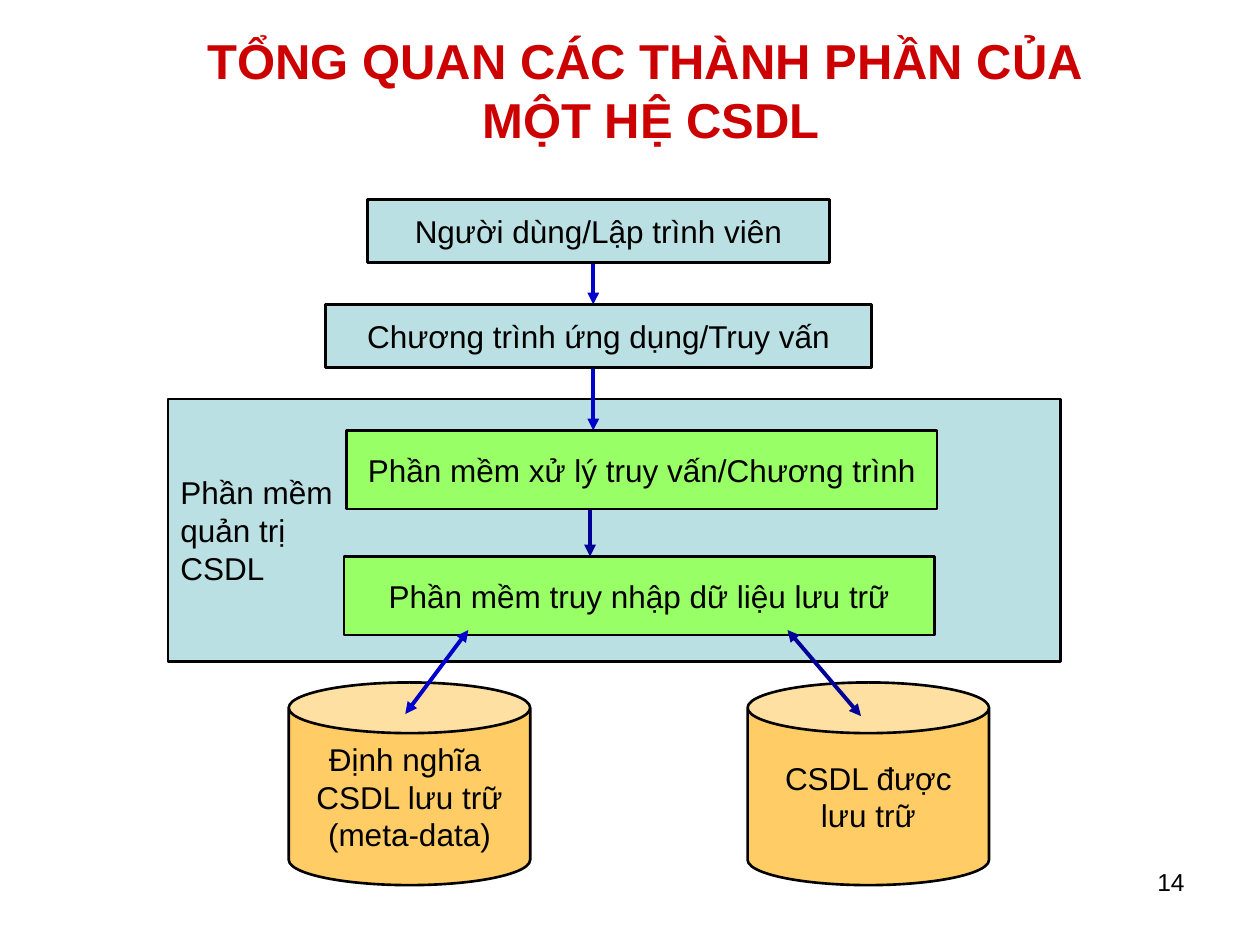
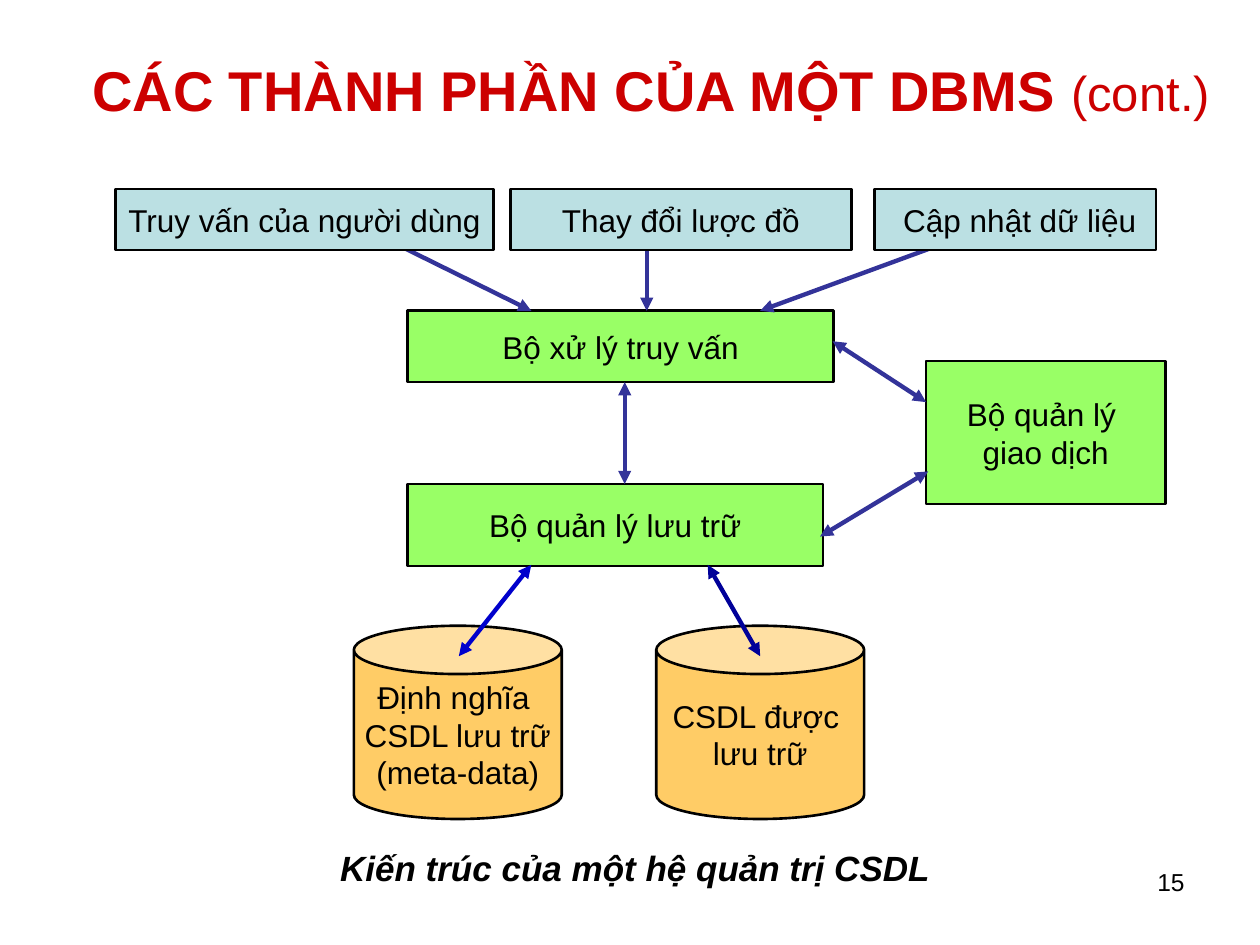
from dataclasses import dataclass
from typing import NamedTuple

from lxml import etree
from pptx import Presentation
from pptx import util as u
from pptx.dml.color import RGBColor
from pptx.enum import shapes, text
from pptx.oxml import ns

SLIDE_WIDTH, SLIDE_HEIGHT = u.Inches(10), u.Inches(7.5)
COLUMN, ROW = SLIDE_WIDTH / 120, SLIDE_HEIGHT / 90

FONT = "Arial"
BLACK = RGBColor(0x00, 0x00, 0x00)
TITLE_RED = RGBColor(0xCC, 0x00, 0x00)
PALE_BLUE = RGBColor(0xBB, 0xE0, 0xE3)
GREEN = RGBColor(0x99, 0xFF, 0x66)
ORANGE = RGBColor(0xFF, 0xCC, 0x66)
BRIGHT_BLUE = RGBColor(0x00, 0x00, 0xCC)
DARK_BLUE = RGBColor(0x00, 0x00, 0x99)
INDIGO = RGBColor(0x33, 0x33, 0x99)

RECTANGLE = shapes.MSO_SHAPE.RECTANGLE
CAN = shapes.MSO_SHAPE.CAN
LEFT, CENTER, RIGHT = text.PP_ALIGN.LEFT, text.PP_ALIGN.CENTER, text.PP_ALIGN.RIGHT
TOP, MIDDLE = text.MSO_ANCHOR.TOP, text.MSO_ANCHOR.MIDDLE

BODY_FORMAT = {"name": FONT, "size": u.Pt(18)}
TITLE_FORMAT = {"name": FONT, "size": u.Pt(28), "bold": True}
LARGE_TITLE_FORMAT = {**TITLE_FORMAT, "size": u.Pt(32)}
TITLE_SUFFIX_FORMAT = {**TITLE_FORMAT, "bold": False}
CAPTION_FORMAT = {"name": FONT, "size": u.Pt(20), "bold": True, "italic": True}
NUMBER_FORMAT = {"name": FONT, "size": u.Pt(14)}


class Area(NamedTuple):
    """A rectangle in grid columns and rows."""
    column: float
    row: float
    columns: float
    rows: float

    def lengths(self) -> tuple:
        return (u.Emu(round(self.column * COLUMN)), u.Emu(round(self.row * ROW)),
                u.Emu(round(self.columns * COLUMN)), u.Emu(round(self.rows * ROW)))


class Point(NamedTuple):
    column: float
    row: float


@dataclass(frozen=True)
class Box:
    lines: tuple
    area: Area
    fill: RGBColor
    kind: int = RECTANGLE
    alignment: int = CENTER


@dataclass(frozen=True)
class Arrow:
    start: Point
    end: Point
    color: RGBColor
    both_ends: bool = False
    weight: float = 2.5


TITLE_AREA = Area(4, 1, 116, 15)
CAPTION_AREA = Area(5, 80, 111, 7)
NUMBER_AREA = Area(86, 82, 28, 6.2)


def format_font(font, values: dict, color: RGBColor) -> None:
    for name, value in values.items():
        setattr(font, name, value)
    font.color.rgb = color


def draw_box(slide, box: Box) -> None:
    shape = slide.shapes.add_shape(box.kind, *box.area.lengths())
    shape.shadow.inherit = False
    shape.fill.solid()
    shape.fill.fore_color.rgb = box.fill
    shape.line.color.rgb = BLACK
    shape.line.width = u.Pt(1.5)
    if box.kind == CAN:
        shape.adjustments[0] = 0.25
    frame = shape.text_frame
    frame.word_wrap = box.alignment == LEFT
    frame.vertical_anchor = MIDDLE
    frame.text = "\n".join(box.lines)
    for paragraph in frame.paragraphs:
        paragraph.alignment = box.alignment
        format_font(paragraph.runs[0].font, BODY_FORMAT, BLACK)


def draw_arrow(slide, arrow: Arrow) -> None:
    ends = [u.Emu(round(length)) for point in (arrow.start, arrow.end)
            for length in (point.column * COLUMN, point.row * ROW)]
    connector = slide.shapes.add_connector(shapes.MSO_CONNECTOR.STRAIGHT, *ends)
    connector.line.color.rgb = arrow.color
    connector.line.width = u.Pt(arrow.weight)
    line = connector.line._get_or_add_ln()
    for tag in ("a:headEnd", "a:tailEnd") if arrow.both_ends else ("a:tailEnd",):
        etree.SubElement(line, ns.qn(tag), type="triangle")
    etree.SubElement(connector._element.spPr, ns.qn("a:effectLst"))


def draw_text(slide, area: Area, runs: list, color: RGBColor = BLACK,
              alignment: int = CENTER, anchor: int = TOP, space_before: float = 0) -> None:
    """Write one paragraph from (wording, format) pairs; a newline is a line break."""
    frame = slide.shapes.add_textbox(*area.lengths()).text_frame
    frame.word_wrap = True
    frame.vertical_anchor = anchor
    paragraph = frame.paragraphs[0]
    paragraph.alignment = alignment
    paragraph.space_before = u.Pt(space_before)
    for wording, values in runs:
        for index, line in enumerate(wording.split("\n")):
            if index:
                paragraph.add_line_break()
            run = paragraph.add_run()
            run.text = line
            format_font(run.font, values, color)


def add_slide(presentation, title: list, number: int, items: list):
    """Add a titled, numbered slide with its diagram items from back to front."""
    slide = presentation.slides.add_slide(presentation.slide_layouts[6])
    draw_text(slide, TITLE_AREA, title, TITLE_RED, anchor=MIDDLE)
    for item in items:
        if isinstance(item, Box):
            draw_box(slide, item)
        else:
            draw_arrow(slide, item)
    draw_text(slide, NUMBER_AREA, [(str(number), NUMBER_FORMAT)], alignment=RIGHT)
    return slide


def overview_items() -> list:
    stores = [
        Box(lines, Area(column, 65, 23, 19.3), ORANGE, CAN)
        for lines, column in ((("Định nghĩa ", "CSDL lưu trữ", "(meta-data)"), 27.5),
                              (("CSDL được", "lưu trữ"), 71.2))
    ]
    return [
        Arrow(Point(56.5, 23.9), Point(56.5, 29), BRIGHT_BLUE, weight=2.25),
        Box(("Phần mềm", "quản trị", "CSDL"), Area(16, 38, 85, 25), PALE_BLUE, alignment=LEFT),
        Box(("Phần mềm truy nhập dữ liệu lưu trữ",), Area(32.75, 53, 56.25, 7.5), GREEN),
        Arrow(Point(56.5, 33.8), Point(56.5, 41), BRIGHT_BLUE, weight=2.25),
        Arrow(Point(56.2, 45.8), Point(56.2, 53), DARK_BLUE, weight=2.25),
        *stores,
        Arrow(Point(44.6, 60), Point(38.6, 68), BRIGHT_BLUE, True, 2.25),
        Arrow(Point(75, 60), Point(82, 68.2), DARK_BLUE, True, 2.25),
        Box(("Phần mềm xử lý truy vấn/Chương trình",), Area(33, 41, 56.25, 7.5), GREEN),
        Box(("Chương trình ứng dụng/Truy vấn",), Area(31, 29, 52, 6), PALE_BLUE),
        Box(("Người dùng/Lập trình viên",), Area(35, 19, 44, 6), PALE_BLUE),
    ]


def architecture_items() -> list:
    stores = [
        Box(lines, Area(column, 59.6, 19.8, 18.4), ORANGE, CAN)
        for lines, column in ((("Định nghĩa ", "CSDL lưu trữ", "(meta-data)"), 33.7),
                              (("CSDL được ", "lưu trữ"), 62.5))
    ]
    requests = [
        Box((label,), Area(column, 18, columns, 5.8), PALE_BLUE)
        for label, column, columns in (("Truy vấn của người dùng", 11, 36),
                                       ("Thay đổi lược đồ", 48.6, 32.5),
                                       (" Cập nhật dữ liệu", 83.3, 26.8))
    ]
    return [
        Box(("Bộ quản lý lưu trữ",), Area(38.8, 46.1, 39.6, 7.8), GREEN),
        *stores,
        Arrow(Point(50.6, 53.8), Point(43.7, 62.5), BRIGHT_BLUE, True),
        Arrow(Point(67.4, 53.8), Point(72.4, 62.5), DARK_BLUE, True),
        Box(("Bộ xử lý truy vấn",), Area(38.8, 29.6, 40.6, 6.8), GREEN),
        Box(("Bộ quản lý ", "giao dịch"), Area(88.2, 34.4, 22.8, 13.6), GREEN),
        Arrow(Point(34.8, 21.8), Point(50.6, 29.6), INDIGO),
        Arrow(Point(61.6, 21.8), Point(61.6, 29.6), INDIGO),
        Arrow(Point(91.2, 22.7), Point(72.4, 29.6), INDIGO),
        Arrow(Point(59.5, 36.4), Point(59.5, 46.1), INDIGO, True),
        Arrow(Point(79.3, 32.5), Point(88.2, 38.3), INDIGO, True),
        Arrow(Point(88.4, 44.9), Point(78.1, 51.1), INDIGO, True),
        *requests,
    ]


def main() -> None:
    presentation = Presentation()
    presentation.slide_width, presentation.slide_height = SLIDE_WIDTH, SLIDE_HEIGHT
    add_slide(presentation,
              [("TỔNG QUAN CÁC THÀNH PHẦN CỦA \nMỘT HỆ CSDL", TITLE_FORMAT)],
              14, overview_items())
    architecture = add_slide(presentation,
                             [("CÁC THÀNH PHẦN CỦA MỘT DBMS ", LARGE_TITLE_FORMAT),
                              ("(cont.)", TITLE_SUFFIX_FORMAT)],
                             15, architecture_items())
    draw_text(architecture, CAPTION_AREA,
              [("Kiến trúc của một hệ quản trị CSDL", CAPTION_FORMAT)], space_before=5)
    presentation.save("out.pptx")


if __name__ == "__main__":
    main()
